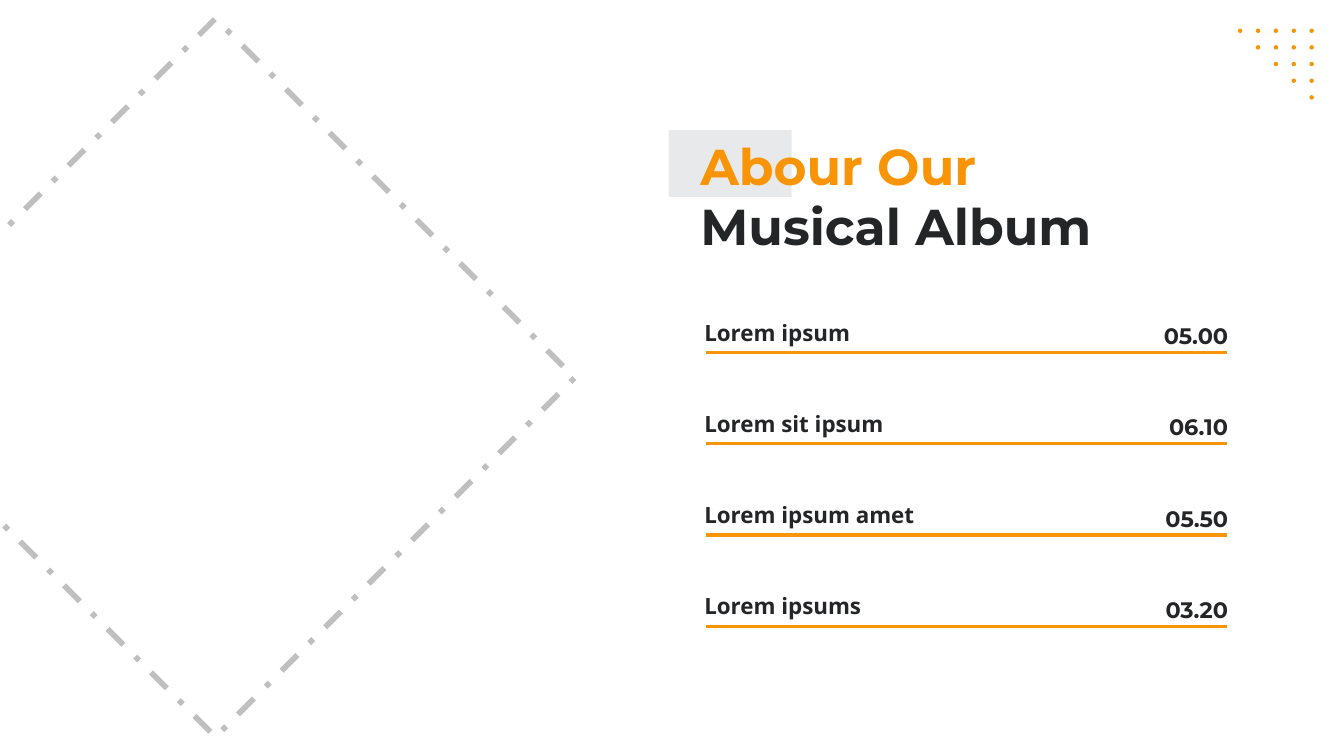
from pptx import Presentation
from pptx.dml.color import RGBColor
from pptx.enum.dml import MSO_LINE
from pptx.enum.shapes import MSO_CONNECTOR as Connector, MSO_SHAPE as Shape
from pptx.enum.text import MSO_AUTO_SIZE as AutoSize, PP_ALIGN as Align
from pptx.oxml.ns import qn
from pptx.util import Cm, Pt
from lxml import etree

ORANGE = RGBColor(0xF8, 0x94, 0x06)
DARK = RGBColor(0x24, 0x25, 0x27)
PALE = RGBColor(0xE8, 0xE9, 0xEA)
GREY = RGBColor(0xBF, 0xBF, 0xBF)

HEADING = [("Abour Our", ORANGE), ("Musical Album", DARK)]
TRACKS = [
    ("Lorem ipsum", "05.00"),
    ("Lorem sit ipsum", "06.10"),
    ("Lorem ipsum amet", "05.50"),
    ("Lorem ipsums", "03.20"),
]
TRACK_PITCH = 2.3
DOT_COUNT = 5


def add_filled(shapes, kind, left, top, width, height, color):
    shape = shapes.add_shape(kind, Cm(left), Cm(top), Cm(width), Cm(height))
    shape.shadow.inherit = False
    shape.fill.solid()
    shape.fill.fore_color.rgb = color
    shape.line.fill.background()


def add_text(shapes, left, top, width, height, lines, font_name, size,
             align=Align.LEFT, spacing=1.0):
    """Add bold text; lines holds a (wording, colour) pair per paragraph."""
    box = shapes.add_textbox(Cm(left), Cm(top), Cm(width), Cm(height))
    frame = box.text_frame
    frame.word_wrap = True
    frame.auto_size = AutoSize.SHAPE_TO_FIT_TEXT
    for index, (wording, color) in enumerate(lines):
        para = frame.add_paragraph() if index else frame.paragraphs[0]
        para.text = wording
        para.alignment = align
        para.line_spacing = spacing
        para.font.name = font_name
        para.font.size = Pt(size)
        para.font.bold = True
        para.font.color.rgb = color


def add_rule(shapes, left, right, top):
    rule = shapes.add_connector(Connector.STRAIGHT, Cm(left), Cm(top), Cm(right), Cm(top))
    rule.line.color.rgb = ORANGE
    rule.line.width = Pt(2.25)
    etree.SubElement(rule.line._get_or_add_ln().getparent(), qn("a:effectLst"))


def add_dashed_diamond(shapes):
    diamond = shapes.add_shape(Shape.RECTANGLE, Cm(-0.97), Cm(3.12), Cm(12.8), Cm(12.8))
    diamond.rotation = 45
    diamond.shadow.inherit = False
    diamond.fill.background()
    diamond.line.color.rgb = GREY
    diamond.line.width = Pt(4)
    diamond.line.dash_style = MSO_LINE.DASH_DOT


def add_dot_triangle(shapes):
    for row in range(DOT_COUNT):
        for column in range(row, DOT_COUNT):
            add_filled(shapes, Shape.OVAL, 31.2 + 0.45 * column, 0.72 + 0.42 * row,
                       0.11, 0.11, ORANGE)


def add_heading(shapes):
    add_filled(shapes, Shape.RECTANGLE, 16.85, 3.28, 3.1, 1.68, PALE)
    add_text(shapes, 17.4, 3.28, 10.87, 3.33, HEADING, "Montserrat", 36)


def add_track(shapes, top, title, duration):
    add_text(shapes, 17.5, top, 8.08, 1.27, [(title, DARK)], "Open Sans", 16, spacing=1.5)
    add_rule(shapes, 17.8, 30.91, top + 1.31)
    add_text(shapes, 27.97, top + 0.09, 3.23, 1.27, [(duration, DARK)], "Montserrat", 16,
             Align.RIGHT, 1.5)


def main():
    deck = Presentation()
    deck.slide_width, deck.slide_height = Cm(33.87), Cm(19.05)
    page = deck.slides.add_slide(deck.slide_layouts[6])
    add_dashed_diamond(page.shapes)
    add_dot_triangle(page.shapes.add_group_shape().shapes)
    add_heading(page.shapes.add_group_shape().shapes)
    track_list = page.shapes.add_group_shape().shapes
    for index, (title, duration) in enumerate(TRACKS):
        add_track(track_list, 7.57 + TRACK_PITCH * index, title, duration)
    deck.save("out.pptx")


if __name__ == "__main__":
    main()
